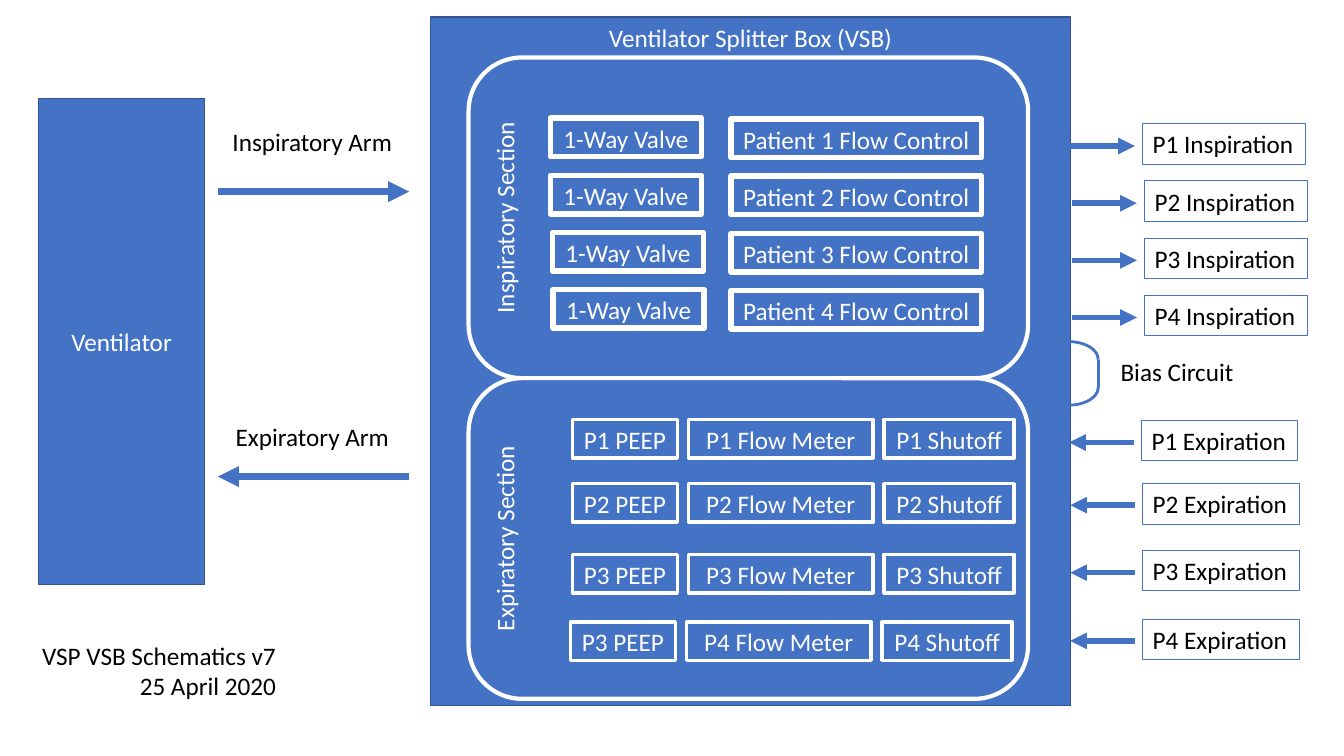
import dataclasses
import typing

import lxml.etree
import pptx
import pptx.dml.color
import pptx.enum.shapes
import pptx.enum.text
import pptx.oxml.ns
import pptx.util

Cm = pptx.util.Cm
Pt = pptx.util.Pt
KIND = pptx.enum.shapes.MSO_SHAPE
ALIGN = pptx.enum.text.PP_ALIGN
ANCHOR = pptx.enum.text.MSO_ANCHOR
COLOURS = {"blue": "4472C4", "edge": "325491", "white": "FFFFFF", "black": "000000"}
TILE_HEIGHT = 0.97
LABEL_HEIGHT = 1.02


@dataclasses.dataclass
class Block:
    text: str
    left: float
    top: float
    width: float
    height: float
    line: str = "white"
    weight: float = 4
    kind: typing.Any = KIND.RECTANGLE
    upright: bool = False
    middle: bool = False


@dataclasses.dataclass
class Label:
    text: str
    left: float
    top: float
    width: float
    height: float = LABEL_HEIGHT
    framed: bool = False
    wrap: bool = False
    alignments: tuple = (ALIGN.LEFT,)


@dataclasses.dataclass
class Flow:
    left: float
    right: float
    y: float
    weight: float = 4
    arrowhead: str = "tailEnd"


def colour(name: str) -> pptx.dml.color.RGBColor:
    return pptx.dml.color.RGBColor.from_string(COLOURS[name])


def outline(line: typing.Any, name: str, weight: float) -> None:
    line.color.rgb = colour(name)
    line.width = Pt(weight)


def write(frame: typing.Any, text: str, *, ink: str = "white", alignments: tuple = (ALIGN.CENTER,),
          anchor: typing.Any = ANCHOR.TOP, wrap: bool = True, grow: bool = False) -> None:
    frame.text = text
    frame.word_wrap = wrap
    frame.vertical_anchor = anchor
    if grow:
        frame.auto_size = pptx.enum.text.MSO_AUTO_SIZE.SHAPE_TO_FIT_TEXT
    for paragraph, alignment in zip(frame.paragraphs, alignments):
        paragraph.alignment = alignment
        font = paragraph.runs[0].font
        font.name = "Calibri"
        font.size = Pt(18)
        font.color.rgb = colour(ink)


def draw_block(shapes: typing.Any, block: Block) -> None:
    shape = shapes.add_shape(block.kind, Cm(block.left), Cm(block.top), Cm(block.width), Cm(block.height))
    shape.shadow.inherit = False
    shape.fill.solid()
    shape.fill.fore_color.rgb = colour("blue")
    outline(shape.line, block.line, block.weight)
    write(shape.text_frame, block.text, anchor=ANCHOR.MIDDLE if block.middle else ANCHOR.TOP)
    if block.upright:
        shape._element.txBody.bodyPr.set("vert", "vert270")


def draw_label(shapes: typing.Any, label: Label) -> None:
    box = shapes.add_textbox(Cm(label.left), Cm(label.top), Cm(label.width), Cm(label.height))
    write(box.text_frame, label.text, ink="black", alignments=label.alignments, wrap=label.wrap, grow=True)
    if label.framed:
        outline(box.line, "blue", 0.75)


def draw_line(shapes: typing.Any, start: tuple[float, float], end: tuple[float, float],
              weight: float, arrowhead: str = "") -> None:
    connector = shapes.add_connector(pptx.enum.shapes.MSO_CONNECTOR.STRAIGHT, *map(Cm, start + end))
    outline(connector.line, "blue", weight)
    if arrowhead:
        head = lxml.etree.SubElement(connector.line._get_or_add_ln(), pptx.oxml.ns.qn("a:" + arrowhead))
        head.set("type", "triangle")
    lxml.etree.SubElement(connector._element.spPr, pptx.oxml.ns.qn("a:effectLst"))


def draw_flow(shapes: typing.Any, flow: Flow) -> None:
    draw_line(shapes, (flow.left, flow.y), (flow.right, flow.y), flow.weight, flow.arrowhead)


def draw_arc(shapes: typing.Any, left: float, top: float, width: float, height: float, rotation: float) -> None:
    arc = shapes.add_shape(KIND.ARC, Cm(left), Cm(top), Cm(width), Cm(height))
    arc.shadow.inherit = False
    arc.fill.background()
    outline(arc.line, "blue", 2)
    arc.rotation = rotation


def draw_bias_circuit(shapes: typing.Any) -> None:
    circuit = shapes.add_group_shape().shapes
    draw_arc(circuit, 26.21, 8.61, 1.47, 0.91, 0)
    draw_line(circuit, (27.69, 9.07), (27.69, 9.75), 2)
    draw_arc(circuit, 26.49, 9.02, 0.91, 1.47, 90)
    draw_label(circuit, Label("Bias Circuit", 27.99, 8.86, 3.38, 0.48))


def draw_inspiratory_row(shapes: typing.Any, number: int, valve_left: float) -> None:
    drop = 1.44 * (number - 1)
    nudge = 0 if number == 1 else 0.05
    draw_block(shapes, Block("1-Way Valve", valve_left, 2.98 + drop, 3.81, TILE_HEIGHT))
    draw_block(shapes, Block(f"Patient {number} Flow Control", 18.42, 3 + drop, 6.32, TILE_HEIGHT))
    draw_flow(shapes, Flow(26.97 + nudge, 28.6 + nudge, 3.68 + drop))
    draw_label(shapes, Label(f"P{number} Inspiration", 28.8 + nudge, 3.12 + drop, 4.09,
                             framed=True, wrap=number == 4))


def draw_expiratory_row(shapes: typing.Any, number: int, peep: str, tile_top: float,
                        flow_y: float, label_top: float) -> None:
    tile_shift = -0.05 if number == 4 else 0
    nudge = -0.03 if number == 1 else 0
    tiles = ((peep, 14.43, 2.64), (f"P{number} Flow Meter", 17.35, 4.65), (f"P{number} Shutoff", 22.28, 3.28))
    for text, left, width in tiles:
        draw_block(shapes, Block(text, left + tile_shift, tile_top, width, TILE_HEIGHT, weight=2.5))
    draw_flow(shapes, Flow(26.97 + nudge, 28.6 + nudge, flow_y, arrowhead="headEnd"))
    draw_label(shapes, Label(f"P{number} Expiration", 28.8 + nudge, label_top, 3.94,
                             framed=True, wrap=number == 4))


BLOCKS = (
    Block("Ventilator Splitter Box (VSB)", 10.85, 0.43, 16.13, 17.35, "edge", 1),
    Block("Inspiratory Section", 11.81, 1.45, 14.1, 8.08, "white", 3, KIND.ROUNDED_RECTANGLE, upright=True),
    Block("Expiratory Section", 11.81, 9.53, 14.1, 8.08, "white", 3, KIND.ROUNDED_RECTANGLE, upright=True),
    Block("Ventilator", 0.97, 2.49, 4.19, 12.24, "edge", 1, middle=True),
)
ARMS = (Flow(5.49, 10.31, 4.83, 5), Flow(5.49, 10.31, 12.01, 5, "headEnd"))
LABELS = (
    Label("Inspiratory Arm", 5.61, 3.05, 4.57, wrap=True),
    Label("Expiratory Arm", 5.69, 10.49, 4.42, wrap=True),
    Label("VSP VSB Schematics v7\n25 April 2020", 0.81, 16, 6.48, 1.8, alignments=(ALIGN.LEFT, ALIGN.RIGHT)),
)
VALVE_LEFTS = (13.87, 13.87, 13.92, 13.94)
EXPIRATORY_ROWS = (
    ("P1 PEEP", 10.57, 11.15, 10.59),
    ("P2 PEEP", 12.19, 12.73, 12.19),
    ("P3 PEEP", 13.97, 14.43, 13.87),
    ("P3 PEEP", 15.67, 16.15, 15.6),
)


def main() -> None:
    deck = pptx.Presentation()
    deck.slide_width = Cm(33.87)
    deck.slide_height = Cm(19.05)
    shapes = deck.slides.add_slide(deck.slide_layouts[6]).shapes
    for block in BLOCKS:
        draw_block(shapes, block)
    for arm in ARMS:
        draw_flow(shapes, arm)
    for label in LABELS:
        draw_label(shapes, label)
    for number, valve_left in enumerate(VALVE_LEFTS, 1):
        draw_inspiratory_row(shapes, number, valve_left)
    for number, row in enumerate(EXPIRATORY_ROWS, 1):
        draw_expiratory_row(shapes, number, *row)
    draw_bias_circuit(shapes)
    deck.save("out.pptx")


if __name__ == "__main__":
    main()
